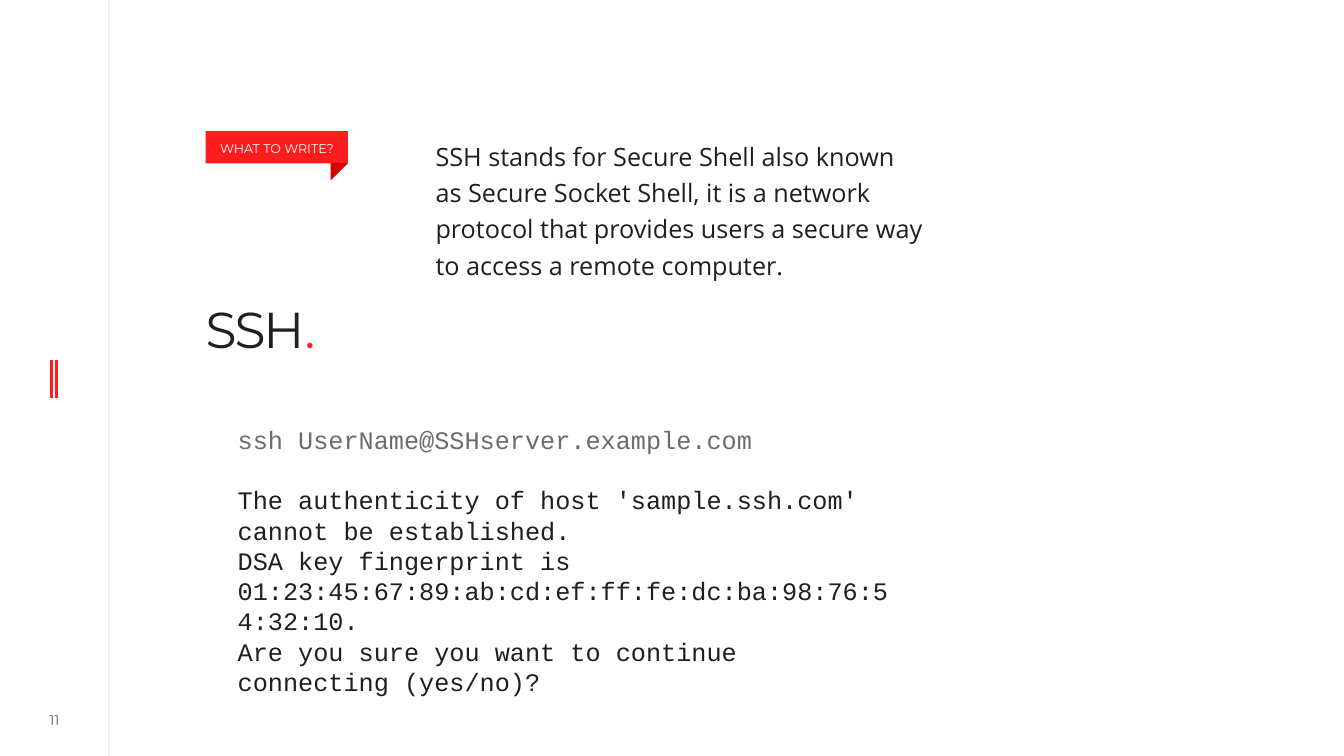
from dataclasses import dataclass

from lxml import etree
from pptx import Presentation
from pptx.dml.color import RGBColor
from pptx.enum.shapes import MSO_CONNECTOR, MSO_SHAPE
from pptx.enum.text import MSO_ANCHOR, PP_ALIGN
from pptx.oxml.ns import qn
from pptx.util import Inches, Pt

STRAIGHT = MSO_CONNECTOR.STRAIGHT
RECTANGLE, RIGHT_TRIANGLE = MSO_SHAPE.RECTANGLE, MSO_SHAPE.RIGHT_TRIANGLE
TOP, MIDDLE = MSO_ANCHOR.TOP, MSO_ANCHOR.MIDDLE
LEFT, CENTER = PP_ALIGN.LEFT, PP_ALIGN.CENTER


@dataclass(frozen=True)
class Theme:
    ink: str = "1F1F1F"
    accent: str = "FE1C1D"
    fold: str = "D30102"
    command: str = "6C6C6C"
    paper: str = "FFFFFF"
    heading_font: str = "Montserrat"
    body_font: str = "Open Sans"
    code_font: str = "Courier New"
    title_size: int = 36
    body_size: int = 18
    number_size: int = 10
    tag_size: int = 9


class SlideBuilder:
    def __init__(self, page, theme):
        self.page = page
        self.theme = theme
        page.background.fill.solid()
        page.background.fill.fore_color.rgb = RGBColor.from_string(theme.paper)

    def fade(self, element, percent):
        for color in element.iter(qn("a:srgbClr")):
            etree.SubElement(color, qn("a:alpha"), val=str(percent * 1000))

    def style(self, span, font, size, color):
        span.font.name = font
        span.font.size = Pt(size)
        span.font.color.rgb = RGBColor.from_string(color)

    def vertical_line(self, left, top, bottom, color, width):
        line = self.page.shapes.add_connector(
            STRAIGHT, Inches(left), Inches(top), Inches(left), Inches(bottom))
        line.line.color.rgb = RGBColor.from_string(color)
        line.line.width = Pt(width)
        etree.SubElement(line._element.spPr, qn("a:effectLst"))
        return line

    def shape(self, kind, area, color):
        shape = self.page.shapes.add_shape(kind, *map(Inches, area))
        shape.shadow.inherit = False
        shape.fill.solid()
        shape.fill.fore_color.rgb = RGBColor.from_string(color)
        shape.line.fill.background()
        return shape

    def text_box(self, area):
        return self.page.shapes.add_textbox(*map(Inches, area))

    def set_text(self, box, lines, font, size, color, insets=(0, 0, 0, 0),
                 align=LEFT, anchor=TOP, spacing=1.0):
        frame = box.text_frame
        frame.word_wrap = True
        frame.vertical_anchor = anchor
        (frame.margin_left, frame.margin_top,
         frame.margin_right, frame.margin_bottom) = map(Inches, insets)
        frame.text = "\n".join(lines)
        for para in frame.paragraphs:
            para.alignment = align
            para.line_spacing = spacing
            for span in para.runs:
                self.style(span, font, size, color)
        return frame.paragraphs


def main():
    theme = Theme()
    deck = Presentation()
    deck.slide_width, deck.slide_height = Inches(13.33), Inches(7.5)
    builder = SlideBuilder(deck.slides.add_slide(deck.slide_layouts[6]), theme)

    margin_line = builder.vertical_line(1.08, 0, 7.5, theme.ink, 0.5)
    builder.fade(margin_line._element, 20)
    for left in (0.51, 0.56):
        builder.vertical_line(left, 3.57, 3.95, theme.accent, 2)

    number = builder.text_box((0.26, 7.02, 0.56, 0.25))
    builder.set_text(number, ["11"], theme.heading_font, theme.number_size, theme.ink,
                     align=CENTER, anchor=MIDDLE)
    builder.fade(number._element, 70)

    title = builder.text_box((2.04, 2.86, 4.62, 1.77))
    para = builder.set_text(title, ["SSH"], theme.heading_font, theme.title_size,
                            theme.ink, insets=(0, 0.21, 0, 0), spacing=0.8)[0]
    dot = para.add_run()
    dot.text = "."
    builder.style(dot, theme.heading_font, theme.title_size, theme.accent)
    for span in para.runs:
        span.font._element.set("spc", "-150")

    definition = builder.text_box((4.32, 1.29, 4.86, 1.53))
    builder.set_text(definition, [
        "SSH stands for Secure Shell also known as Secure Socket Shell, it is a "
        "network protocol that provides users a secure way to access a remote computer.",
    ], theme.body_font, theme.body_size, theme.ink, insets=(0, 0.05, 0, 0.05), spacing=1.2)

    tag = builder.shape(RECTANGLE, (2.04, 1.3, 1.41, 0.32), theme.accent)
    builder.set_text(tag, ["WHAT TO WRITE?"], theme.heading_font, theme.tag_size, theme.paper,
                     insets=(0, 0.07, 0, 0.05), align=CENTER, anchor=MIDDLE)
    fold = builder.shape(RIGHT_TRIANGLE, (3.28, 1.62, 0.17, 0.17), theme.fold)
    fold._element.spPr.xfrm.set("flipV", "1")

    terminal = builder.text_box((2.26, 4.16, 6.67, 3.43))
    line_height = Pt(21.6)
    command, reply, *_ = builder.set_text(terminal, [
        "ssh UserName@SSHserver.example.com",
        "The authenticity of host 'sample.ssh.com' cannot be established.",
        "DSA key fingerprint is 01:23:45:67:89:ab:cd:ef:ff:fe:dc:ba:98:76:54:32:10.",
        "Are you sure you want to continue connecting (yes/no)?",
    ], theme.code_font, theme.body_size, theme.ink,
        insets=(0.1, 0.05, 0.1, 0.05), spacing=line_height)
    command.runs[0].font.color.rgb = RGBColor.from_string(theme.command)
    reply.space_before = line_height

    deck.save("out.pptx")


if __name__ == "__main__":
    main()
